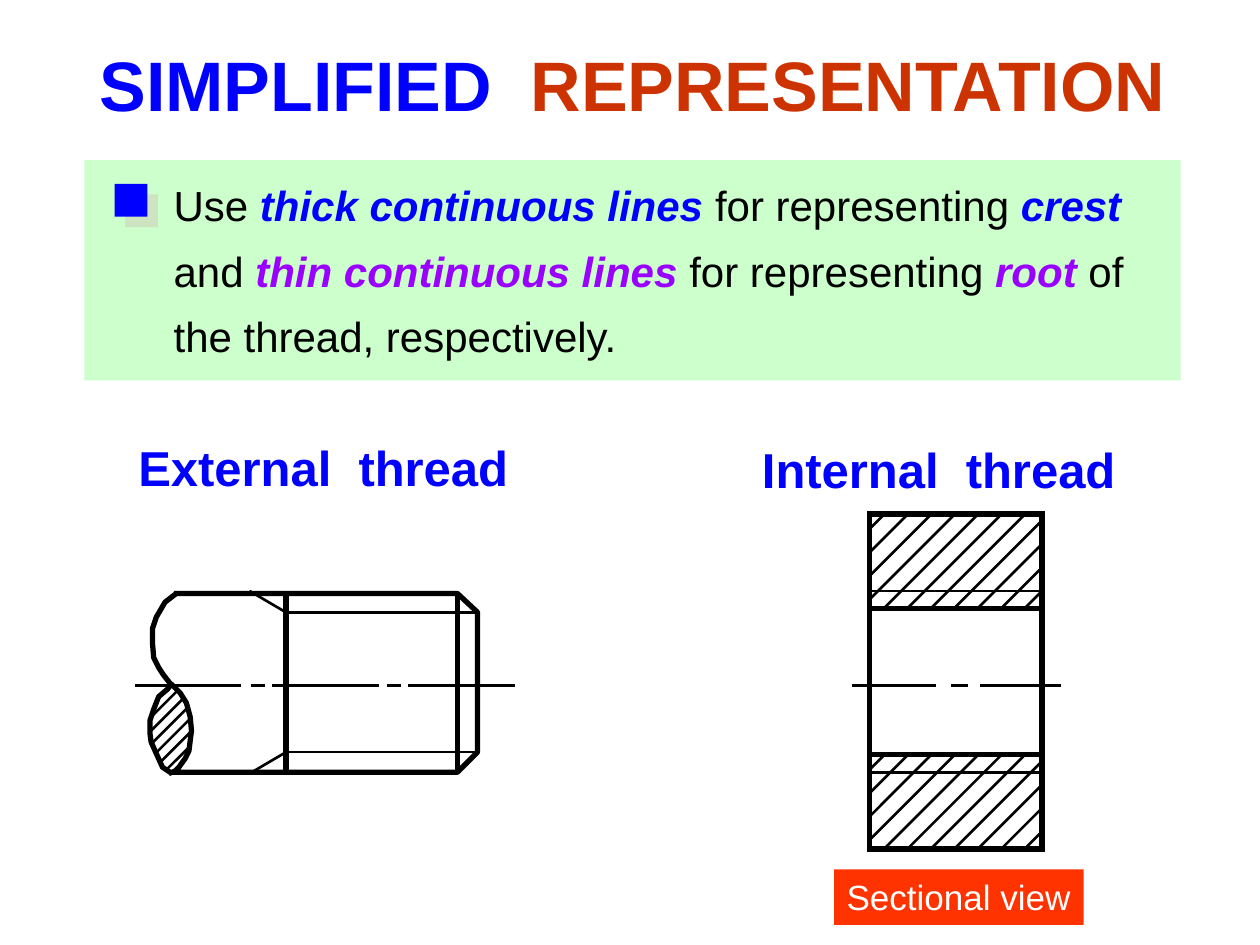
from dataclasses import dataclass
from typing import NamedTuple

from lxml import etree
from pptx import Presentation
from pptx.dml.color import RGBColor
from pptx.enum.dml import MSO_LINE
from pptx.enum.shapes import MSO_CONNECTOR, MSO_SHAPE
from pptx.enum.text import MSO_ANCHOR, MSO_AUTO_SIZE, PP_ALIGN
from pptx.oxml.ns import qn
from pptx.util import Inches, Pt

STRAIGHT = MSO_CONNECTOR.STRAIGHT
RECTANGLE = MSO_SHAPE.RECTANGLE
LEFT, CENTER = PP_ALIGN.LEFT, PP_ALIGN.CENTER
TOP = MSO_ANCHOR.TOP
FIT_TEXT = MSO_AUTO_SIZE.SHAPE_TO_FIT_TEXT
DASH = MSO_LINE.DASH


@dataclass(frozen=True)
class Theme:
    font: str = "Arial"
    title_size: int = 40
    heading_size: int = 28
    body_size: int = 24
    label_size: int = 20
    blue: str = "0000FF"
    rust: str = "CC3300"
    purple: str = "9900FF"
    red: str = "FF3300"
    mint: str = "CCFFCC"
    shade: str = "CEC8BA"
    black: str = "000000"
    white: str = "FFFFFF"
    thick: float = 3
    thin: float = 1.5


THEME = Theme()


class Frame(NamedTuple):
    left: float
    top: float
    width: float
    height: float


class Span(NamedTuple):
    text: str
    color: str = THEME.black
    bold: bool = False
    italic: bool = False


class Stroke(NamedTuple):
    x1: float
    y1: float
    x2: float
    y2: float
    weight: float = THEME.thin
    dashed: bool = False


class Hatch(NamedTuple):
    left: float
    top: float
    right: float
    bottom: float
    first: float
    last: float
    count: int


def spread(first: float, last: float, count: int) -> list[float]:
    return [first + (last - first) * index / (count - 1) for index in range(count)]


def color_of(code: str) -> RGBColor:
    return RGBColor.from_string(code)


def style_outline(line, weight: float) -> None:
    line.color.rgb = color_of(THEME.black)
    line.width = Pt(weight)


def draw_stroke(shapes, stroke: Stroke) -> None:
    ends = [Inches(value) for value in stroke[:4]]
    line = shapes.add_connector(STRAIGHT, *ends)
    style_outline(line.line, stroke.weight)
    if stroke.dashed:
        line.line.dash_style = DASH
    etree.SubElement(line._element.spPr, qn("a:effectLst"))


def draw_curve(shapes, points: list[tuple[float, float]]) -> None:
    corners = [(Inches(x), Inches(y)) for x, y in points]
    builder = shapes.build_freeform(*corners[0])
    builder.add_line_segments(corners[1:], close=False)
    curve = builder.convert_to_shape()
    curve.shadow.inherit = False
    curve.fill.background()
    style_outline(curve.line, THEME.thick)


def draw_hatch(shapes, hatch: Hatch) -> None:
    for total in spread(hatch.first, hatch.last, hatch.count):
        start = max(hatch.left, total - hatch.bottom)
        end = min(hatch.right, total - hatch.top)
        draw_stroke(shapes, Stroke(start, total - start, end, total - end))


def draw_rectangle(shapes, frame: Frame, fill: str | None = None):
    box = shapes.add_shape(RECTANGLE, *map(Inches, frame))
    box.shadow.inherit = False
    if fill:
        box.fill.solid()
        box.fill.fore_color.rgb = color_of(fill)
        box.line.fill.background()
    else:
        box.fill.background()
        style_outline(box.line, THEME.thick)
        etree.SubElement(box._element.spPr.find(qn("a:ln")), qn("a:miter"), lim="800000")
    return box


def write_text(box, rows: list[list[Span]], size: int, align=LEFT, spacing: float = 1) -> None:
    text = box.text_frame
    text.word_wrap = False
    text.auto_size = FIT_TEXT
    text.vertical_anchor = TOP
    for index, row in enumerate(rows):
        para = text.add_paragraph() if index else text.paragraphs[0]
        para.alignment = align
        para.line_spacing = spacing
        for piece in row:
            span = para.add_run()
            span.text = piece.text
            span.font.name = THEME.font
            span.font.size = Pt(size)
            span.font.bold = piece.bold
            span.font.italic = piece.italic
            span.font.color.rgb = color_of(piece.color)


def add_drop_shadow(box) -> None:
    effects = box._element.spPr.find(qn("a:effectLst"))
    shadow = etree.SubElement(effects, qn("a:outerShdw"), dist=str(Pt(8.5)), dir="2700000", algn="ctr", rotWithShape="0")
    tint = etree.SubElement(shadow, qn("a:srgbClr"), val=THEME.shade)
    etree.SubElement(tint, qn("a:alpha"), val="50000")


def draw_external_thread(shapes) -> None:
    left, shoulder, chamfer, tip = 1.38, 2.27, 3.63, 3.79
    top, root_top, axis, root_bottom, bottom = 4.71, 4.86, 5.44, 5.97, 6.13
    draw_curve(shapes, [
        (left, top), (chamfer, top), (tip, root_top), (tip, root_bottom), (chamfer, bottom),
        (1.35, bottom), (1.29, 6.09), (1.24, 5.98), (1.2, 5.89), (1.19, 5.82), (1.19, 5.72),
        (1.22, 5.63), (1.26, 5.53), (1.33, 5.47), (1.36, 5.43), (1.43, 5.5), (1.48, 5.58),
        (1.51, 5.69), (1.52, 5.8), (1.51, 5.88), (1.5, 5.96), (1.47, 6.02), (1.42, 6.09),
        (1.39, 6.12), (1.34, 6.14)])
    draw_curve(shapes, [
        (1.37, 5.45), (1.3, 5.36), (1.26, 5.3), (1.22, 5.22), (1.21, 5.1), (1.21, 4.99),
        (1.24, 4.9), (1.31, 4.78), (1.4, top)])
    for x in (chamfer, shoulder):
        draw_stroke(shapes, Stroke(x, top, x, bottom, THEME.thick))
    for root, crest in ((root_top, 4.69), (root_bottom, 6.14)):
        draw_stroke(shapes, Stroke(tip, root, shoulder, root))
        draw_stroke(shapes, Stroke(shoulder, root, 1.98, crest))
    section = [(1.21, 1.41), (1.2, 1.45), (1.21, 1.49), (1.24, 1.52), (1.27, 1.52), (1.32, 1.5)]
    for (start, end), total in zip(section, spread(6.89, 7.43, len(section))):
        draw_stroke(shapes, Stroke(start, total - start, end, total - end))
    for start, end in ((1.07, 1.91), (1.99, 2.1), (2.16, 3.01), (3.07, 3.18), (3.24, 4.09)):
        draw_stroke(shapes, Stroke(start, axis, end, axis))


def draw_internal_thread(shapes) -> None:
    left, right, top, bottom, axis = 6.9, 8.27, 4.08, 6.74, 5.44
    crests, roots = (4.83, 5.99), (4.69, 6.13)
    draw_rectangle(shapes, Frame(left, top, right - left, bottom - top))
    for start, end in ((6.76, 7.43), (7.55, 7.68), (7.78, 8.42)):
        draw_stroke(shapes, Stroke(start, axis, end, axis))
    for crest in crests:
        draw_stroke(shapes, Stroke(left, crest, right, crest, THEME.thick))
    draw_hatch(shapes, Hatch(left, top, right, crests[0], 11.1, 12.96, 11))
    draw_hatch(shapes, Hatch(left, crests[1], right, bottom, 13.01, 14.87, 11))
    for root in roots:
        for dashed in (False, True):
            draw_stroke(shapes, Stroke(left, root, right, root, THEME.thin, dashed))


def main() -> None:
    deck = Presentation()
    deck.slide_width, deck.slide_height = Inches(10), Inches(7.5)
    page = deck.slides.add_slide(deck.slide_layouts[6])
    shapes = page.shapes

    title = [Span("SIMPLIFIED", THEME.blue, True), Span("  REPRESENTATION", THEME.rust, True)]
    headings = [
        (Frame(0.65, 0.28, 8.74, 0.77), title, THEME.title_size),
        (Frame(0.95, 3.42, 3.23, 0.57), [Span("External  thread", THEME.blue, True)], THEME.heading_size),
        (Frame(5.9, 3.44, 3.1, 0.57), [Span("Internal  thread", THEME.blue, True)], THEME.heading_size),
    ]
    for frame, row, size in headings:
        write_text(shapes.add_textbox(*map(Inches, frame)), [row], size, CENTER)

    draw_external_thread(shapes.add_group_shape().shapes)
    draw_internal_thread(shapes.add_group_shape().shapes)
    label = draw_rectangle(shapes, Frame(6.62, 6.9, 1.98, 0.44), THEME.red)
    write_text(label, [[Span("Sectional view", THEME.white)]], THEME.label_size)

    draw_rectangle(shapes, Frame(0.67, 1.27, 8.7, 1.75), THEME.mint)
    rule = shapes.add_group_shape().shapes
    body = rule.add_textbox(*map(Inches, Frame(1.28, 1.26, 7.74, 1.66)))
    write_text(body, [
        [Span("Use "), Span("thick continuous lines", THEME.blue, True, True),
         Span(" for representing "), Span("crest", THEME.blue, True, True)],
        [Span("and "), Span("thin continuous lines", THEME.purple, True, True),
         Span(" for representing "), Span("root ", THEME.purple, True, True), Span("of")],
        [Span("the thread, respectively.")],
    ], THEME.body_size, spacing=1.3)
    add_drop_shadow(draw_rectangle(rule, Frame(0.91, 1.46, 0.26, 0.26), THEME.blue))

    deck.save("out.pptx")


if __name__ == "__main__":
    main()
